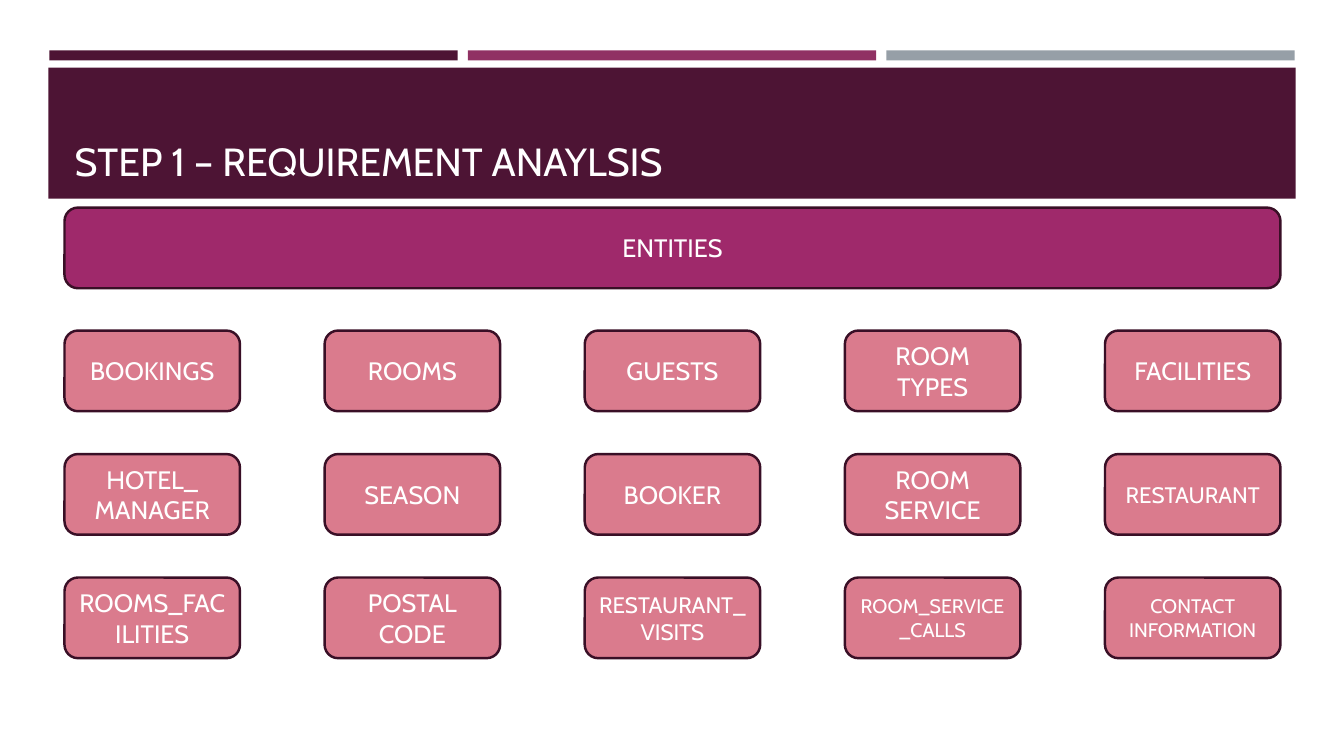
from pptx import Presentation, util as u
from pptx.dml.color import RGBColor
from pptx.enum import shapes, text

TITLE = "STEP 1 – REQUIREMENT ANAYLSIS"
HEADING = "ENTITIES"
# Rows of entities: (label, text size in points)
ENTITIES = [
    [("BOOKINGS", 18), ("ROOMS", 18), ("GUESTS", 18),
     ("ROOM TYPES", 18), ("FACILITIES", 18)],
    [("HOTEL_\nMANAGER", 18), ("SEASON", 18), ("BOOKER", 18),
     ("ROOM SERVICE", 18), ("RESTAURANT", 16)],
    [("ROOMS_FACILITIES", 18), ("POSTAL CODE", 18), ("RESTAURANT_VISITS", 16),
     ("ROOM_SERVICE_CALLS", 14), ("CONTACT INFORMATION", 14)],
]

FONT = "Cabin"
WHITE = RGBColor(0xFF, 0xFF, 0xFF)
PLUM = RGBColor(0x4D, 0x14, 0x34)
MAGENTA = RGBColor(0x90, 0x31, 0x63)
GREY = RGBColor(0x96, 0x9F, 0xA7)
BERRY = RGBColor(0x9F, 0x29, 0x6B)
ROSE = RGBColor(0xDA, 0x7B, 0x8D)
OUTLINE = RGBColor(0x39, 0x0F, 0x26)

# Lengths in inches
PAGE_W, PAGE_H = 13.33, 7.5
LEFT, WIDTH = 0.64, 12.06
BOX_W, BOX_H = 1.74, 0.8
HEADING_TOP, GRID_TOP, ROW_STEP = 2.06, 3.28, 1.225
COLUMN_STEP = (WIDTH - BOX_W) / (len(ENTITIES[0]) - 1)
STRIPE_LEFT, STRIPE_W, STRIPE_STEP = 0.49, 4.05, 4.15


def add_block(page, kind, area, fill):
    """Add a flat filled shape over area (left, top, width, height)."""
    block = page.shapes.add_shape(kind, *map(u.Inches, area))
    block.shadow.inherit = False
    block.fill.solid()
    block.fill.fore_color.rgb = fill
    block.line.fill.background()
    return block


def write(box, words, size, align, anchor):
    """Write white words into a box, one run per line."""
    frame = box.text_frame
    frame.word_wrap = True
    frame.auto_size = text.MSO_AUTO_SIZE.NONE
    frame.vertical_anchor = anchor
    para = frame.paragraphs[0]
    para.alignment = align
    for number, line in enumerate(words.split("\n")):
        if number:
            para.add_line_break()
        span = para.add_run()
        span.text = line
        span.font.name = FONT
        span.font.size = u.Pt(size)
        span.font.color.rgb = WHITE


def add_entity(page, area, fill, words, size=18):
    """Add an outlined rounded box with a centred label."""
    box = add_block(page, shapes.MSO_SHAPE.ROUNDED_RECTANGLE, area, fill)
    box.line.color.rgb = OUTLINE
    box.line.width = u.Pt(1.75)
    write(box, words, size, text.PP_ALIGN.CENTER, text.MSO_ANCHOR.MIDDLE)


def add_header(page):
    """Add the three stripes, the title band and the title on top of it."""
    rectangle = shapes.MSO_SHAPE.RECTANGLE
    for column, colour in enumerate((PLUM, MAGENTA, GREY)):
        left = STRIPE_LEFT + column * STRIPE_STEP
        add_block(page, rectangle, (left, 0.5, STRIPE_W, 0.1), colour)
    add_block(page, rectangle, (0.48, 0.67, 12.37, 1.3), PLUM)
    title = page.shapes.title
    title.left, title.top = u.Inches(LEFT), u.Inches(0.77)
    title.width, title.height = u.Inches(WIDTH), u.Inches(1.11)
    title.element.getparent().append(title.element)
    write(title, TITLE, 28, text.PP_ALIGN.LEFT, text.MSO_ANCHOR.BOTTOM)


def add_entities(page):
    """Add the wide heading box and the grid of entities below it."""
    add_entity(page, (LEFT, HEADING_TOP, WIDTH, BOX_H), BERRY, HEADING)
    for row, entities in enumerate(ENTITIES):
        for column, (label, size) in enumerate(entities):
            area = (LEFT + column * COLUMN_STEP, GRID_TOP + row * ROW_STEP,
                    BOX_W, BOX_H)
            add_entity(page, area, ROSE, label, size)


deck = Presentation()
deck.slide_width, deck.slide_height = u.Inches(PAGE_W), u.Inches(PAGE_H)
page = deck.slides.add_slide(deck.slide_layouts.get_by_name("Title Only"))
add_header(page)
add_entities(page)
deck.save("out.pptx")
